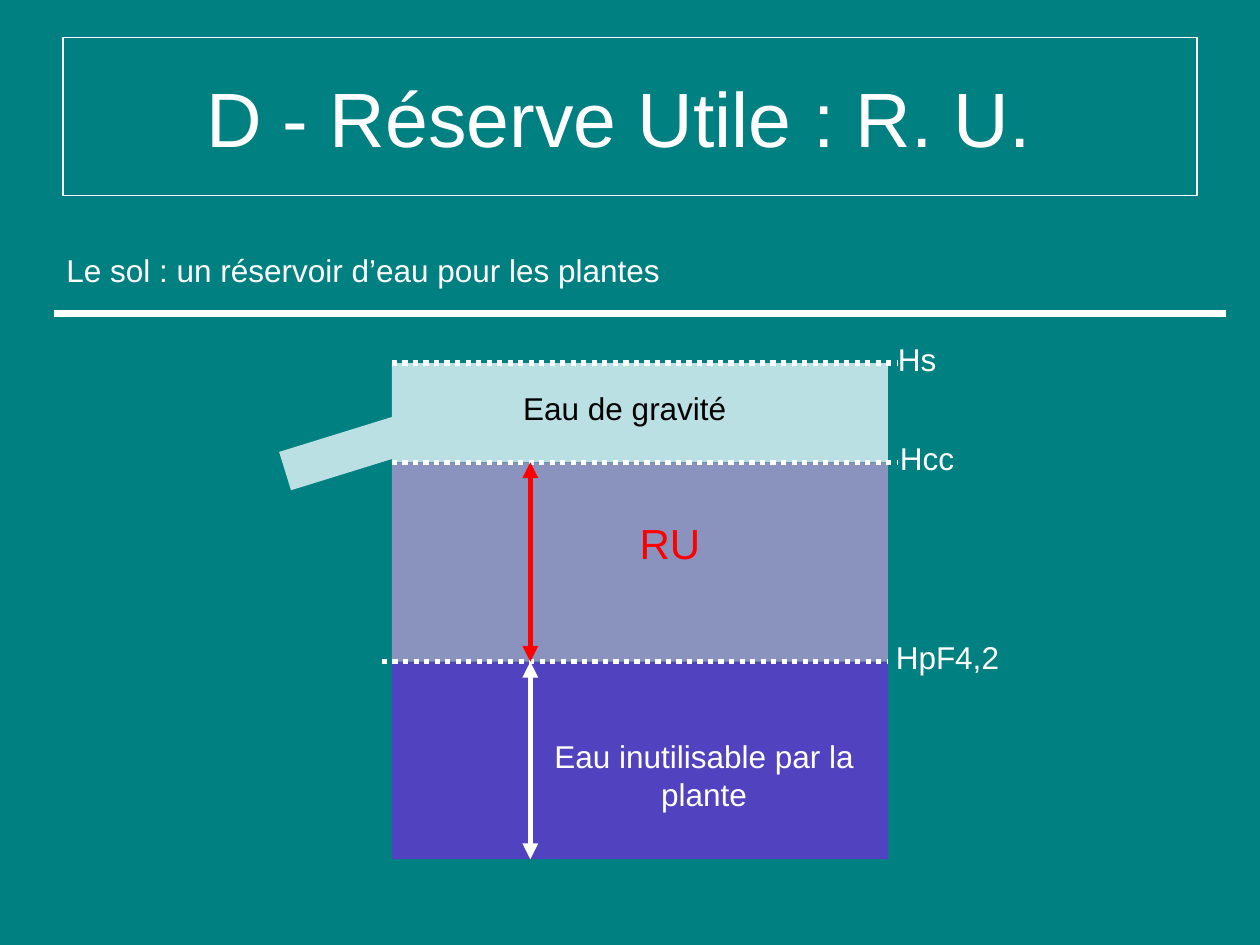
from lxml import etree
from pptx import Presentation
from pptx.dml.color import RGBColor
from pptx.enum.dml import MSO_LINE
from pptx.enum.shapes import MSO_CONNECTOR, MSO_SHAPE
from pptx.enum.text import MSO_ANCHOR, PP_ALIGN
from pptx.oxml.ns import qn
from pptx.util import Cm, Pt

TEAL = RGBColor(0x00, 0x80, 0x80)
WHITE = RGBColor(0xFF, 0xFF, 0xFF)
BLACK = RGBColor(0x00, 0x00, 0x00)
RED = RGBColor(0xFF, 0x00, 0x00)
PALE_BLUE = RGBColor(0xBB, 0xE0, 0xE3)
GREY_BLUE = RGBColor(0x8A, 0x93, 0xBE)
VIOLET = RGBColor(0x51, 0x42, 0xC0)
RECTANGLE = MSO_SHAPE.RECTANGLE
STRAIGHT = MSO_CONNECTOR.STRAIGHT
DOTTED = MSO_LINE.ROUND_DOT
MIDDLE = MSO_ANCHOR.MIDDLE
TOP = MSO_ANCHOR.TOP
CENTER = PP_ALIGN.CENTER
LEFT = PP_ALIGN.LEFT


def add_text(page, text, left, top, width, height, size=18, color=WHITE, align=CENTER, anchor=TOP):
    box = page.shapes.add_textbox(Cm(left), Cm(top), Cm(width), Cm(height))
    box.text_frame.word_wrap = True
    box.text_frame.vertical_anchor = anchor
    para = box.text_frame.paragraphs[0]
    para.alignment = align
    span = para.add_run()
    span.text = text
    font_format = {"name": "Arial", "size": Pt(size)}
    for name, value in font_format.items():
        setattr(span.font, name, value)
    span.font.color.rgb = color
    return box


def add_line(page, start, end, color=WHITE, width=3, dash=None, arrows=False):
    line = page.shapes.add_connector(STRAIGHT, *[Cm(value) for value in start + end])
    line.line.color.rgb = color
    line_format = {"width": Pt(width), "dash_style": dash}
    for name, value in line_format.items():
        setattr(line.line, name, value)
    properties = line._element.spPr
    if arrows:
        for tag in ("a:headEnd", "a:tailEnd"):
            etree.SubElement(properties.find(qn("a:ln")), qn(tag), type="triangle")
    etree.SubElement(properties, qn("a:effectLst"))


deck = Presentation()
deck.slide_width = Cm(25.4)
deck.slide_height = Cm(19.05)
page = deck.slides.add_slide(deck.slide_layouts[6])
page.background.fill.solid()
page.background.fill.fore_color.rgb = TEAL

title = add_text(page, "D - Réserve Utile : R. U. ", 1.27, 0.76, 22.86, 3.18, size=44, anchor=MIDDLE)
title.line.color.rgb = WHITE
title.line.width = Pt(0.75)

add_text(page, "Le sol : un réservoir d’eau pour les plantes", 1.09, 4.93, 12.6, 1.02, align=LEFT)
add_line(page, (1.09, 6.32), (24.71, 6.32), width=4.5)

tank_left, tank_width = 7.9, 10
saturation, capacity, wilting, bottom = 7.32, 9.32, 13.34, 17.32
blocks = [
    (tank_left, wilting, tank_width, bottom - wilting, 0, VIOLET),
    (tank_left, capacity, tank_width, wilting - capacity, 0, GREY_BLUE),
    (tank_left, saturation, tank_width, capacity - saturation, 0, PALE_BLUE),
    (5.69, 8.71, 2.59, 0.81, 342.8, PALE_BLUE),
]
for left, top, width, height, rotation, color in blocks:
    block = page.shapes.add_shape(RECTANGLE, Cm(left), Cm(top), Cm(width), Cm(height))
    block.rotation = rotation
    block.shadow.inherit = False
    block.fill.solid()
    block.fill.fore_color.rgb = color
    block.line.fill.background()

levels = [
    ("HpF4,2", wilting, 7.7, 17.9, 17.5),
    ("Hcc", capacity, tank_left, 18.08, 17.09),
    ("Hs", saturation, tank_left, 18.08, 16.89),
]
for label, level, start, end, label_left in levels:
    add_line(page, (start, level), (end, level), dash=DOTTED)
    add_text(page, label, label_left, level - 0.6, 3.2, 1.02)

arrow_x = 10.69
add_line(page, (arrow_x, wilting), (arrow_x, bottom), arrows=True)
add_line(page, (arrow_x, capacity), (arrow_x, wilting), color=RED, arrows=True)

add_text(page, "Eau de gravité", 9.09, 7.72, 7.01, 1.02, color=BLACK)
add_text(page, "Eau inutilisable par la plante", 10.69, 14.73, 7.01, 1.78)
add_text(page, "RU", 12.5, 10.31, 2.01, 1.27, size=24, color=RED)

deck.save("out.pptx")
